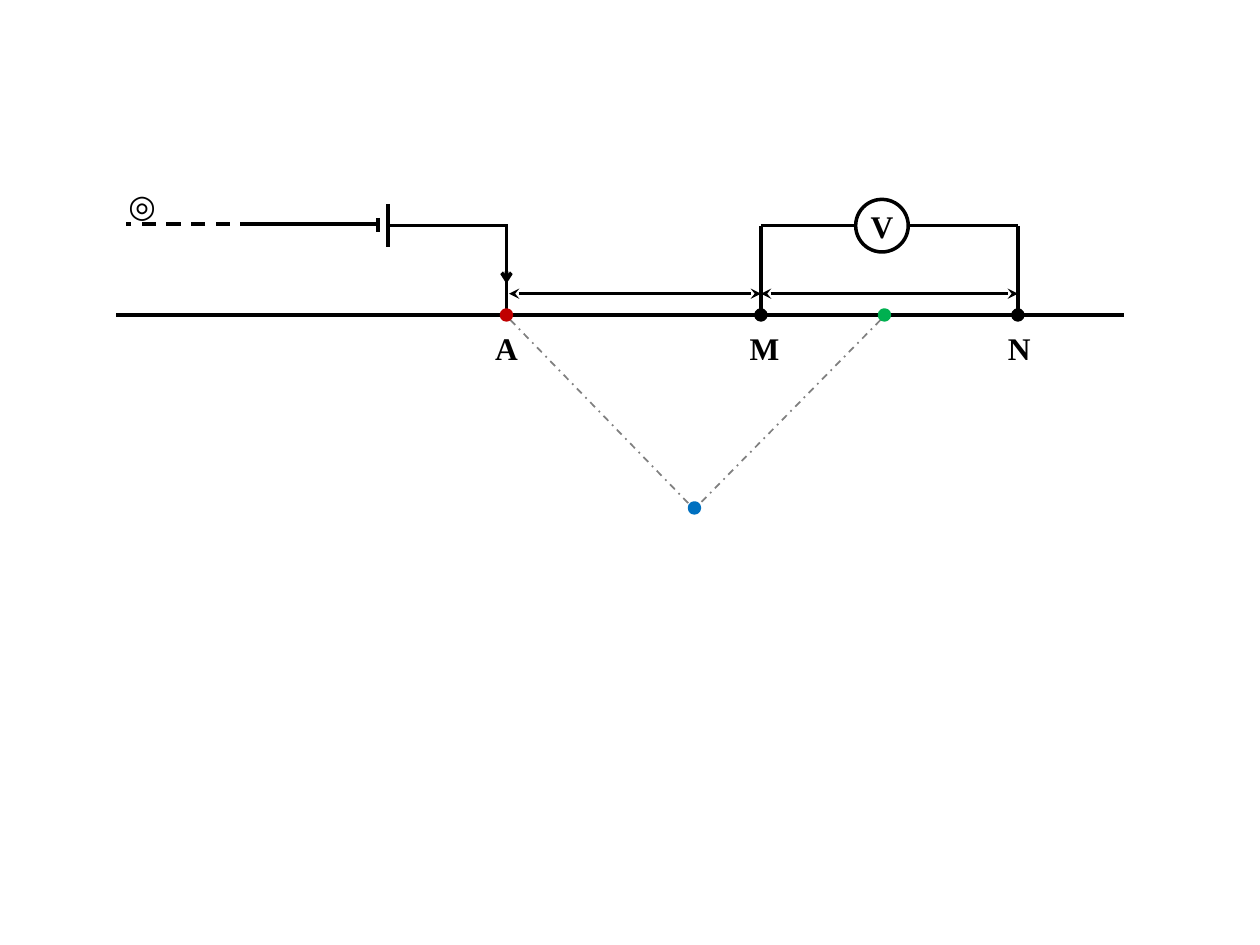
from typing import NamedTuple

from pptx import Presentation
from pptx.dml.color import RGBColor
from pptx.enum.dml import MSO_LINE_DASH_STYLE as Dash
from pptx.enum.shapes import MSO_CONNECTOR as Conn, MSO_SHAPE as Shape
from pptx.oxml.ns import qn
from pptx.util import Cm, Pt
from lxml.etree import SubElement

BLACK, GREY, RED, GREEN, BLUE = "000000", "808080", "C00000", "00B050", "0070C0"

# Key positions in cm
GROUND_Y, WIRE_Y, SPACING_Y = 6.35, 4.55, 5.92
A_X, M_X, N_X, MID_X = 10.21, 15.34, 20.52, 17.83
METER_X, METER_R, DOT_R = 17.78, 0.53, 0.1
BATTERY_X, FAR_Y = 7.82, 4.52
DEPTH_X, DEPTH_Y = 14.0, 10.24


class Line(NamedTuple):
    x1: float
    y1: float
    x2: float
    y2: float
    width: float = 2
    color: str = BLACK
    dash: Dash | None = None
    head: str = ""
    tail: str = ""


class Dot(NamedTuple):
    x: float
    y: float
    color: str


class Label(NamedTuple):
    text: str
    left: float
    top: float
    font: str = "Times New Roman"
    bold: bool = True
    width: float = 0.97


LINES = [
    # Ground surface
    Line(2.34, GROUND_Y, 22.66, GROUND_Y),
    # Current circuit, from the remote electrode to A
    Line(5.13, FAR_Y, 2.54, FAR_Y, dash=Dash.DASH),
    Line(7.65, FAR_Y, 5.05, FAR_Y),
    Line(7.62, 4.39, 7.62, 4.67),
    Line(BATTERY_X, 4.11, BATTERY_X, 4.98),
    Line(A_X + 0.03, WIRE_Y, BATTERY_X + 0.03, WIRE_Y),
    Line(A_X, FAR_Y, A_X, GROUND_Y - DOT_R),
    Line(A_X, 5.72, A_X, 5.18, head="arrow"),
    # Voltage circuit between M and N
    Line(M_X, GROUND_Y - DOT_R, M_X, WIRE_Y),
    Line(METER_X - METER_R, WIRE_Y, M_X, WIRE_Y),
    Line(METER_X + METER_R, WIRE_Y, N_X, WIRE_Y),
    Line(N_X, GROUND_Y + DOT_R, N_X, WIRE_Y),
    # Electrode spacings
    Line(A_X + 0.05, SPACING_Y, M_X, SPACING_Y, 1.5, head="stealth", tail="stealth"),
    Line(M_X, SPACING_Y, N_X, SPACING_Y, 1.5, head="stealth", tail="stealth"),
    # Projection to the depth point
    Line(10.29, 6.45, 13.92, 10.19, 1, GREY, Dash.DASH_DOT),
    Line(17.75, 6.45, 14.07, 10.19, 1, GREY, Dash.DASH_DOT),
]
DOTS = [
    Dot(A_X, GROUND_Y, RED),
    Dot(M_X, GROUND_Y, BLACK),
    Dot(N_X, GROUND_Y, BLACK),
    Dot(MID_X, GROUND_Y, GREEN),
    Dot(DEPTH_X, DEPTH_Y, BLUE),
]
LABELS = [
    Label("A", 9.73, 6.5),
    Label("M", 14.86, 6.5),
    Label("N", 20.07, 6.5),
    Label("V", 17.3, 4.04),
    Label("◎", 2.34, 3.63, "Calibri", False, 0.84),
]


def rgb(color: str) -> RGBColor:
    return RGBColor.from_string(color)


def draw_line(s, line: Line) -> None:
    sp = s.shapes.add_connector(
        Conn.STRAIGHT, Cm(line.x1), Cm(line.y1), Cm(line.x2), Cm(line.y2))
    sp.line.width = Pt(line.width)
    sp.line.color.rgb = rgb(line.color)
    if line.dash:
        sp.line.dash_style = line.dash
    ln = sp.line._get_or_add_ln()
    for tag, kind in (("a:headEnd", line.head), ("a:tailEnd", line.tail)):
        if kind:
            SubElement(ln, qn(tag), type=kind)
    SubElement(sp._element.spPr, qn("a:effectLst"))


def draw_circle(s, x: float, y: float, r: float, color: str, filled: bool = True) -> None:
    sp = s.shapes.add_shape(Shape.OVAL, Cm(x - r), Cm(y - r), Cm(2 * r), Cm(2 * r))
    sp.shadow.inherit = False
    sp.line.width = Pt(2)
    sp.line.color.rgb = rgb(color)
    if filled:
        sp.fill.solid()
        sp.fill.fore_color.rgb = rgb(color)
    else:
        sp.fill.background()


def draw_label(s, label: Label) -> None:
    tf = s.shapes.add_textbox(
        Cm(label.left), Cm(label.top), Cm(label.width), Cm(1.02)).text_frame
    tf.word_wrap = True
    tf.text = label.text
    font = tf.paragraphs[0].runs[0].font
    font.name, font.size, font.bold = label.font, Pt(18), label.bold
    font.color.rgb = rgb(BLACK)


def main() -> None:
    prs = Presentation()
    prs.slide_width, prs.slide_height = Cm(25.4), Cm(19.05)
    s = prs.slides.add_slide(prs.slide_layouts[6])
    for line in LINES:
        draw_line(s, line)
    draw_circle(s, METER_X, WIRE_Y, METER_R, BLACK, filled=False)
    for dot in DOTS:
        draw_circle(s, dot.x, dot.y, DOT_R, dot.color)
    for label in LABELS:
        draw_label(s, label)
    prs.save("out.pptx")


if __name__ == "__main__":
    main()
